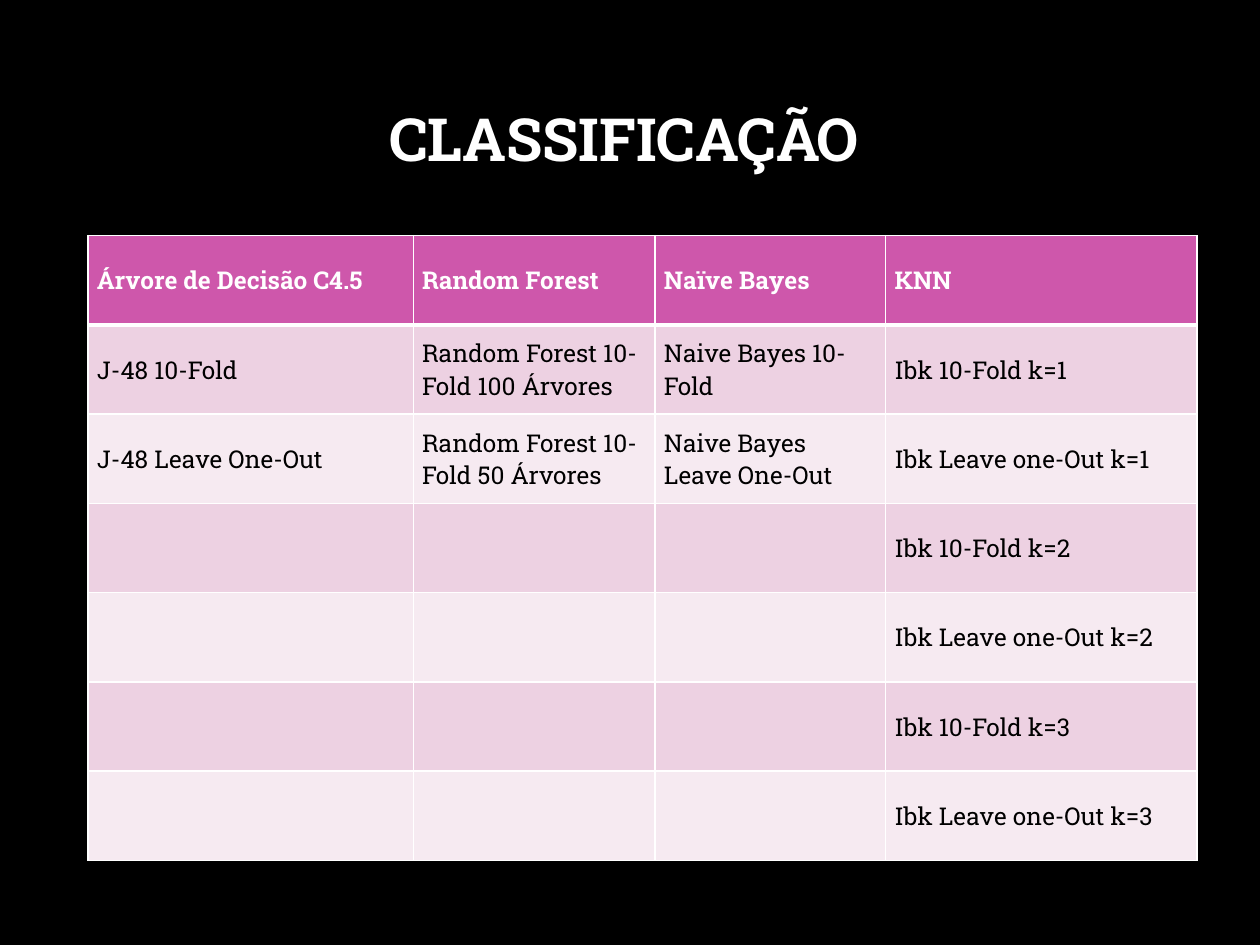
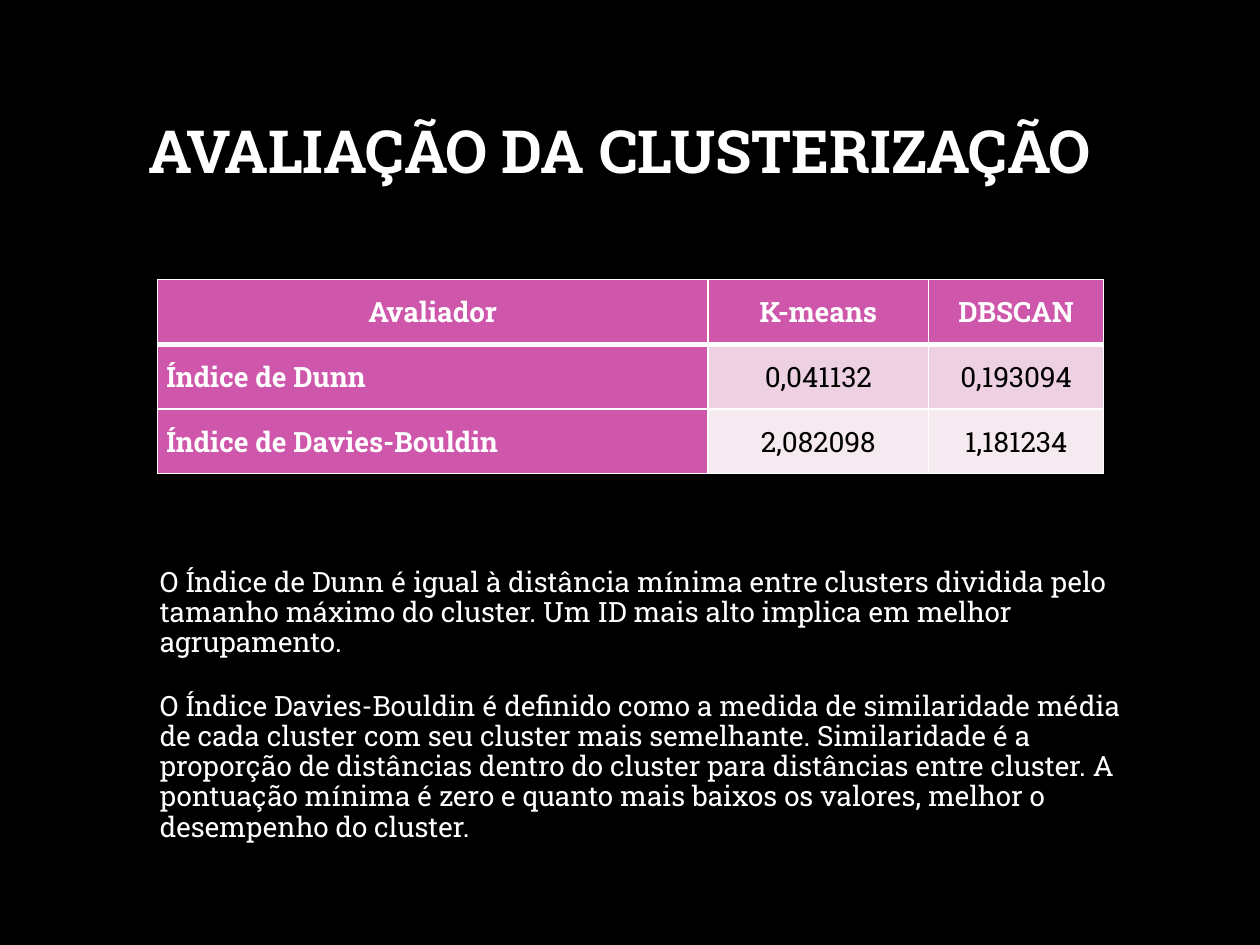
from dataclasses import dataclass

from lxml.etree import SubElement
from pptx import Presentation
from pptx.dml.color import RGBColor
from pptx.enum.text import MSO_ANCHOR, MSO_AUTO_SIZE, PP_ALIGN
from pptx.oxml.ns import qn
from pptx.slide import Slide
from pptx.table import _Cell as Cell
from pptx.text.text import _Paragraph as Paragraph
from pptx.util import Inches, Pt


@dataclass(frozen=True)
class Theme:
    font: str = "Roboto Slab"
    black: str = "000000"
    white: str = "FFFFFF"
    pink: str = "CE57AB"
    bands: tuple[str, str] = ("EDD1E2", "F6EAF1")
    title_size: int = 34
    methods_size: int = 14
    text_size: int = 16
    line_spacing: float = 0.9
    paragraph_gap: int = 19
    thin: float = 1
    thick: float = 3


@dataclass(frozen=True)
class Box:
    left: float
    top: float
    width: float
    height: float

    def lengths(self) -> tuple[Inches, ...]:
        return tuple(Inches(v) for v in (self.left, self.top, self.width, self.height))


@dataclass(frozen=True)
class Grid:
    box: Box
    columns: tuple[float, ...]
    rows: tuple[tuple[str, ...], ...]
    size: int
    align: PP_ALIGN = PP_ALIGN.LEFT
    row_headers: bool = False


THEME = Theme()

METHODS = Grid(
    Box(0.7, 1.87, 8.8, 4.96),
    (2.58, 1.92, 1.83, 2.47),
    (
        ("Árvore de Decisão C4.5", "Random Forest", "Naïve Bayes", "KNN"),
        ("J-48 10-Fold", "Random Forest 10-Fold 100 Árvores",
         "Naive Bayes 10-Fold", "Ibk 10-Fold k=1"),
        ("J-48 Leave One-Out", "Random Forest 10-Fold 50 Árvores",
         "Naive Bayes Leave One-Out", "Ibk Leave one-Out k=1"),
        ("", "", "", "Ibk 10-Fold k=2"),
        ("", "", "", "Ibk Leave one-Out k=2"),
        ("", "", "", "Ibk 10-Fold k=3"),
        ("", "", "", "Ibk Leave one-Out k=3"),
    ),
    THEME.methods_size,
)

SCORES = Grid(
    Box(1.25, 2.22, 7.5, 1.54),
    (4.37, 1.75, 1.39),
    (
        ("Avaliador", "K-means", "DBSCAN"),
        ("Índice de Dunn", "0,041132", "0,193094"),
        ("Índice de Davies-Bouldin", "2,082098", "1,181234"),
    ),
    THEME.text_size,
    PP_ALIGN.CENTER,
    row_headers=True,
)

INDEX_NOTES = (
    "O Índice de Dunn é igual à distância mínima entre clusters dividida pelo "
    "tamanho máximo do cluster. Um ID mais alto implica em melhor agrupamento.",
    "O Índice Davies-Bouldin é definido como a medida de similaridade média de cada "
    "cluster com seu cluster mais semelhante. Similaridade é a proporção de distâncias "
    "dentro do cluster para distâncias entre cluster. A pontuação mínima é zero e "
    "quanto mais baixos os valores, melhor o desempenho do cluster.",
)


def write(p: Paragraph, text: str, size: int, color: str, bold: bool = False) -> None:
    p.text = text
    for font in (p.font, *(r.font for r in p.runs)):
        font.name = THEME.font
        font.size = Pt(size)
        font.bold = bold
        font.color.rgb = RGBColor.from_string(color)


def add_titled_slide(prs: Presentation, title: str, box: Box) -> Slide:
    s = prs.slides.add_slide(prs.slide_layouts[5])
    s.background.fill.solid()
    s.background.fill.fore_color.rgb = RGBColor.from_string(THEME.black)
    sp = s.shapes.title
    sp.left, sp.top, sp.width, sp.height = box.lengths()
    tf = sp.text_frame
    tf.word_wrap = True
    tf.auto_size = MSO_AUTO_SIZE.NONE
    tf.vertical_anchor = MSO_ANCHOR.MIDDLE
    p = tf.paragraphs[0]
    write(p, title, THEME.title_size, THEME.white, bold=True)
    p.alignment = PP_ALIGN.CENTER
    p.line_spacing = THEME.line_spacing
    return s


def set_borders(cell: Cell, top: float, bottom: float) -> None:
    tc_pr = cell._tc.get_or_add_tcPr()
    widths = {"a:lnL": THEME.thin, "a:lnR": THEME.thin, "a:lnT": top, "a:lnB": bottom}
    for tag, width in widths.items():
        ln = SubElement(tc_pr, qn(tag), w=str(Pt(width)))
        fill = SubElement(ln, qn("a:solidFill"))
        SubElement(fill, qn("a:srgbClr"), val=THEME.white)


def add_grid(s: Slide, grid: Grid) -> None:
    count = len(grid.rows)
    table = s.shapes.add_table(count, len(grid.columns), *grid.box.lengths()).table
    for column, width in zip(table.columns, grid.columns):
        column.width = Inches(width)
    for i, texts in enumerate(grid.rows):
        table.rows[i].height = Inches(grid.box.height / count)
        for j, text in enumerate(texts):
            cell = table.cell(i, j)
            row_header = grid.row_headers and i > 0 and j == 0
            header = i == 0 or row_header
            set_borders(cell,
                        THEME.thick if i == 1 else THEME.thin,
                        THEME.thick if i == 0 else THEME.thin)
            cell.fill.solid()
            fill = THEME.pink if header else THEME.bands[(i - 1) % 2]
            cell.fill.fore_color.rgb = RGBColor.from_string(fill)
            cell.vertical_anchor = MSO_ANCHOR.MIDDLE
            cell.margin_left = cell.margin_right = Inches(0.07)
            cell.margin_top = cell.margin_bottom = 0
            p = cell.text_frame.paragraphs[0]
            write(p, text, grid.size, THEME.white if header else THEME.black, header)
            p.alignment = PP_ALIGN.LEFT if row_header else grid.align


def add_notes(s: Slide, box: Box, notes: tuple[str, ...]) -> None:
    tf = s.shapes.add_textbox(*box.lengths()).text_frame
    tf.word_wrap = True
    for i, note in enumerate(notes):
        p = tf.add_paragraph() if i else tf.paragraphs[0]
        write(p, note, THEME.text_size, THEME.white)
        p.line_spacing = THEME.line_spacing
        if i:
            p.space_before = Pt(THEME.paragraph_gap)


def main() -> None:
    prs = Presentation()
    prs.slide_width, prs.slide_height = Inches(10), Inches(7.5)

    s = add_titled_slide(prs, "CLASSIFICAÇÃO", Box(0.71, 0.4, 8.49, 1.45))
    add_grid(s, METHODS)

    s = add_titled_slide(prs, "AVALIAÇÃO DA CLUSTERIZAÇÃO", Box(0.25, 0.5, 9.33, 1.45))
    add_grid(s, SCORES)
    add_notes(s, Box(1.17, 4.46, 8.08, 2.52), INDEX_NOTES)

    prs.save("out.pptx")


if __name__ == "__main__":
    main()
